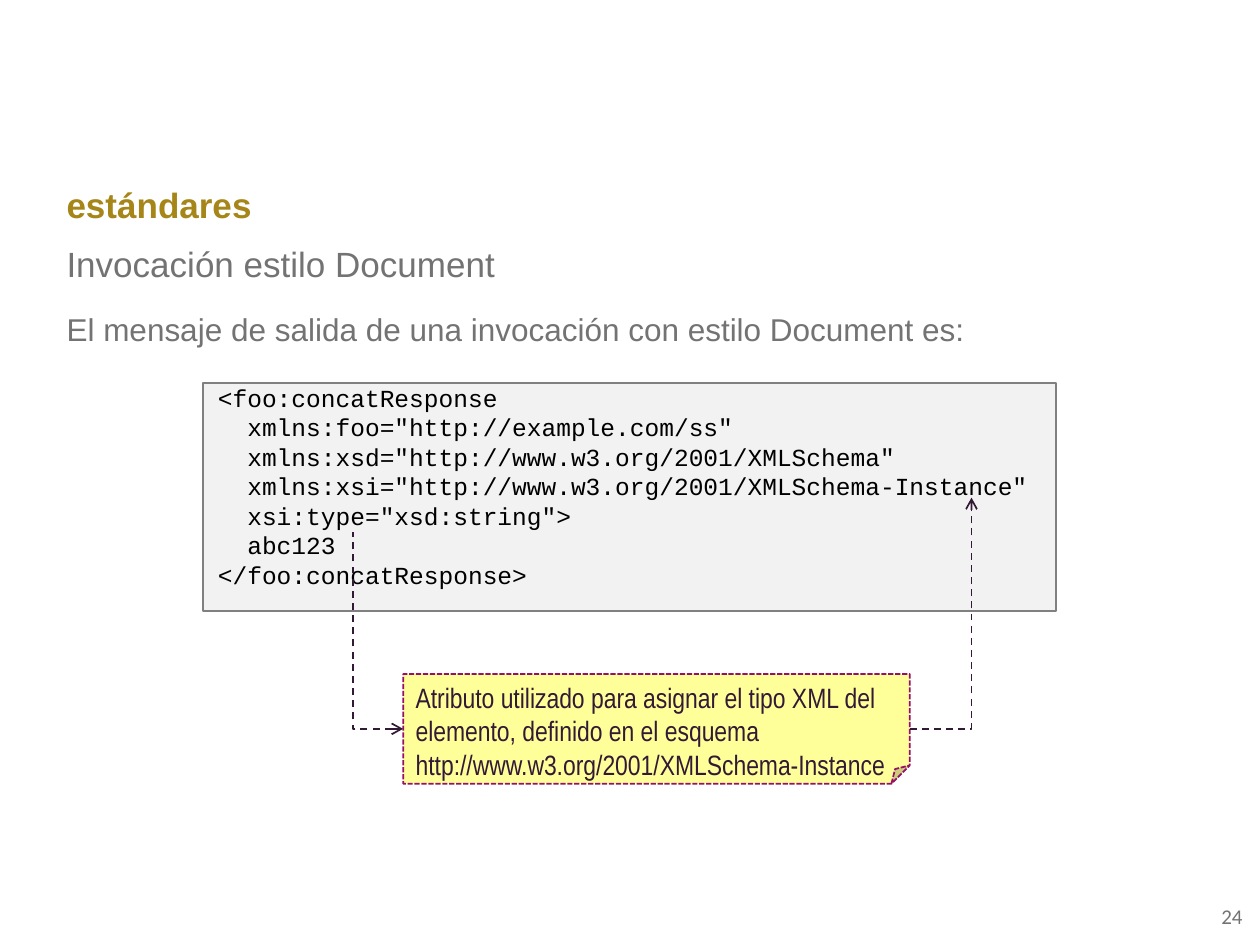
from lxml import etree
from pptx import Presentation
from pptx.dml.color import RGBColor
from pptx.enum.dml import MSO_LINE
from pptx.enum.shapes import MSO_CONNECTOR, MSO_SHAPE
from pptx.enum.text import MSO_ANCHOR, PP_ALIGN
from pptx.oxml.ns import qn
from pptx.util import Inches, Pt

GOLD = RGBColor(0xA6, 0x86, 0x19)
GRAY = RGBColor(0x73, 0x73, 0x73)
BLACK = RGBColor(0, 0, 0)
PLUM = RGBColor(0x32, 0x19, 0x35)
MAGENTA = RGBColor(0x96, 0x0F, 0x68)
YELLOW = RGBColor(0xFF, 0xFF, 0x99)
LIGHT = RGBColor(0xF2, 0xF2, 0xF2)
BORDER = RGBColor(0x80, 0x80, 0x80)

TOP, MIDDLE = MSO_ANCHOR.TOP, MSO_ANCHOR.MIDDLE
LEFT, RIGHT = PP_ALIGN.LEFT, PP_ALIGN.RIGHT
RECT, NOTE = MSO_SHAPE.RECTANGLE, MSO_SHAPE.FOLDED_CORNER
ELBOW = MSO_CONNECTOR.ELBOW
DASH, SQUARE_DOT = MSO_LINE.DASH, MSO_LINE.SQUARE_DOT

CODE = [
    '<foo:concatResponse',
    '  xmlns:foo="http://example.com/ss"',
    '  xmlns:xsd="http://www.w3.org/2001/XMLSchema"',
    '  xmlns:xsi="http://www.w3.org/2001/XMLSchema-Instance"',
    '  xsi:type="xsd:string">',
    '  abc123',
    '</foo:concatResponse>',
]
NOTE_TEXT = ("Atributo utilizado para asignar el tipo XML del elemento, definido "
             "en el esquema http://www.w3.org/2001/XMLSchema-Instance")


def write(s, lines, size, color, font="Arial", bold=False, align=LEFT,
          anchor=TOP, spacing=None):
    """Fill a shape with one paragraph per line."""
    tf = s.text_frame
    tf.word_wrap = True
    tf.vertical_anchor = anchor
    for i, line in enumerate(lines):
        p = tf.paragraphs[0] if i == 0 else tf.add_paragraph()
        p.alignment = align
        p.line_spacing = spacing
        r = p.add_run()
        r.text = line
        r.font.size, r.font.name, r.font.bold = Pt(size), font, bold
        r.font.color.rgb = color
    return tf


def add_text(slide, box, text, size, color, **fmt):
    s = slide.shapes.add_textbox(*map(Inches, box))
    write(s, [text], size, color, **fmt)


def add_panel(slide, kind, box, fill, line, dash=None):
    s = slide.shapes.add_shape(kind, *map(Inches, box))
    s.shadow.inherit = False
    s.fill.solid()
    s.fill.fore_color.rgb = fill
    s.line.color.rgb = line
    s.line.width = Pt(1)
    s.line.dash_style = dash
    return s


def add_code(slide, box):
    s = add_panel(slide, RECT, box, LIGHT, BORDER)
    tf = write(s, CODE, 14, BLACK, font="Courier New", spacing=Pt(16.8))
    tf.margin_left = tf.margin_right = Inches(0.12)
    tf.margin_top = tf.margin_bottom = 0


def add_note(slide, box):
    s = add_panel(slide, NOTE, box, YELLOW, MAGENTA, SQUARE_DOT)
    write(s, [NOTE_TEXT], 16, PLUM, font="Arial Narrow")


def add_elbow(slide, start, end, arrow_end):
    """Dashed line that leaves start sideways and turns once towards end."""
    c = slide.shapes.add_connector(ELBOW, *map(Inches, start + end))
    c.line.color.rgb = PLUM
    c.line.width = Pt(1)
    c.line.dash_style = DASH
    sp_pr = c._element.spPr
    sp_pr.find(qn("a:prstGeom")).set("prst", "bentConnector2")
    etree.SubElement(c.line._get_or_add_ln(), qn(arrow_end), type="arrow")
    etree.SubElement(sp_pr, qn("a:effectLst"))


def add_headings(slide, x, y, w, h):
    add_text(slide, (x, y, w, h), "estándares", 20, GOLD, bold=True, anchor=MIDDLE)
    add_text(slide, (x, y + h, w, h), "Invocación estilo Document", 20, GRAY,
             anchor=MIDDLE)


def add_diagram(slide, code_box, note_box):
    add_code(slide, code_box)
    add_note(slide, note_box)
    x, y, w, h = note_box
    mid = y + h / 2
    # From the type attribute to the note, and from the note to the schema
    add_elbow(slide, (x, mid), (x - 0.4, 4.22), "a:headEnd")
    add_elbow(slide, (x + w, mid), (x + w + 0.49, 3.95), "a:tailEnd")


def main():
    prs = Presentation()
    prs.slide_width, prs.slide_height = Inches(10), Inches(7.5)
    slide = prs.slides.add_slide(prs.slide_layouts[6])
    add_headings(slide, 0.43, 1.39, 9.06, 0.47)
    add_text(slide, (0.43, 2.41, 9.06, 0.5),
             "El mensaje de salida de una invocación con estilo Document es:",
             18, GRAY)
    add_diagram(slide, (1.61, 3.04, 6.77, 1.81), (3.2, 5.35, 4.02, 0.87))
    # Page number
    add_text(slide, (9.24, 7.07, 0.72, 0.4), "24", 12, GRAY, font="Calibri",
             align=RIGHT, anchor=MIDDLE)
    prs.save("out.pptx")


if __name__ == "__main__":
    main()
